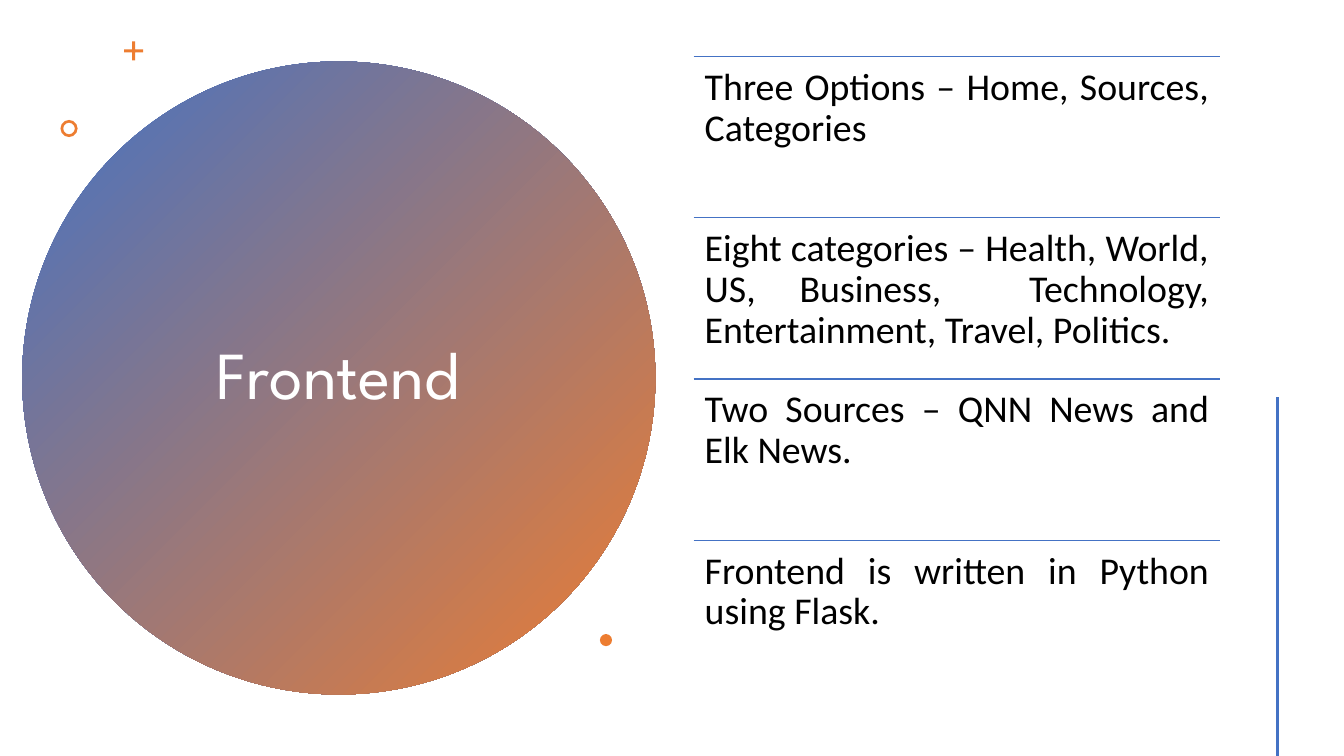
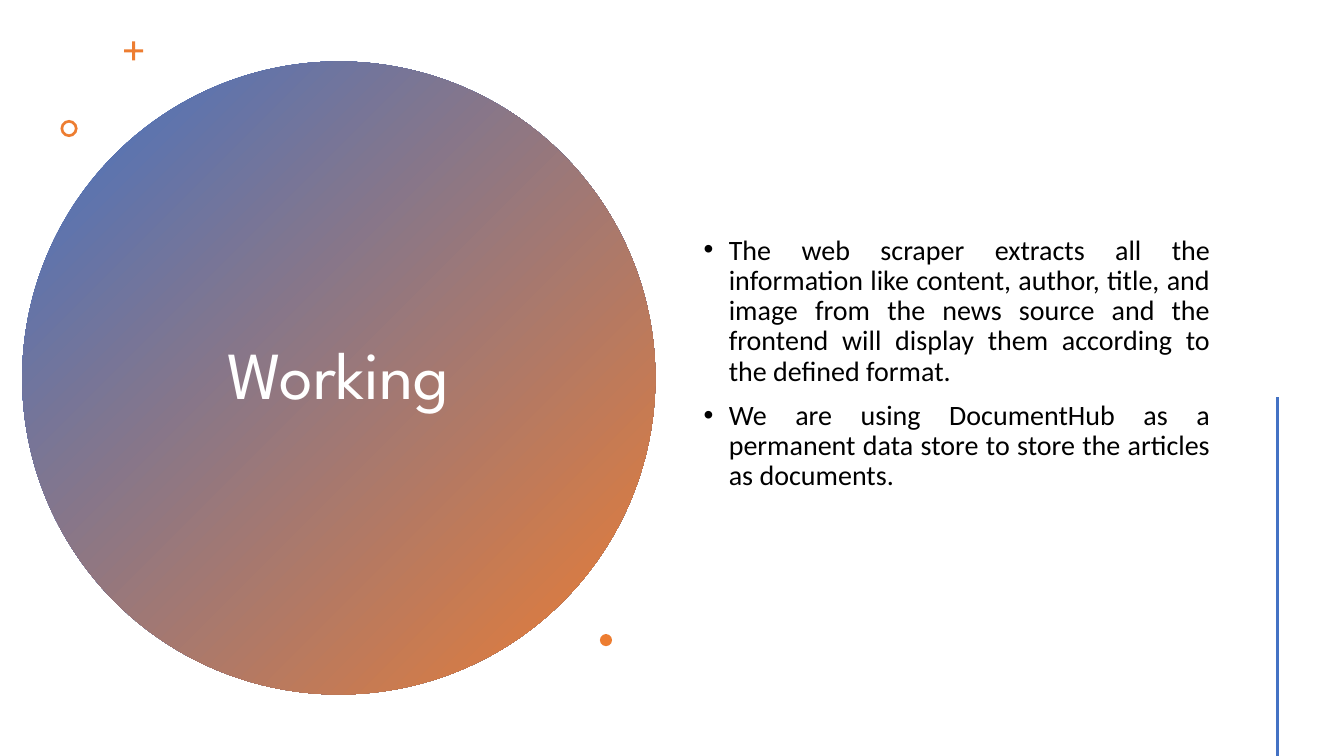
"""Build two slides that pair a gradient title circle with text on the right."""
from dataclasses import dataclass

import lxml.etree
import pptx
import pptx.dml.color
import pptx.enum.shapes
import pptx.enum.text
import pptx.oxml.ns
import pptx.util

Inches = pptx.util.Inches
Pt = pptx.util.Pt
RGBColor = pptx.dml.color.RGBColor
Preset = pptx.enum.shapes.MSO_SHAPE
Align = pptx.enum.text.PP_ALIGN
Anchor = pptx.enum.text.MSO_ANCHOR
qn = pptx.oxml.ns.qn

BLUE = RGBColor(0x44, 0x72, 0xC4)
ORANGE = RGBColor(0xED, 0x7D, 0x31)
WHITE = RGBColor(0xFF, 0xFF, 0xFF)
BLACK = RGBColor(0, 0, 0)
TITLE_FONT = "League Spartan"
BODY_FONT = "Calibri"
LINE_SPACING = 0.9
TITLE_ONLY_LAYOUT = 5

CONTENT_LEFT, CONTENT_TOP, CONTENT_WIDTH = 6.88, 0.56, 5.22
ROW_HEIGHT = 1.6
ROW_INSET = 0.11
BULLETS_HEIGHT = 6.1
BULLET_INDENT = 0.25


@dataclass(frozen=True)
class Ornament:
    """A small orange accent near the circle."""
    preset: Preset
    left: float
    top: float
    size: float
    adjustment: float | None = None


ORNAMENTS = (
    Ornament(Preset.CROSS, 1.23, 0.41, 0.19, 0.42),
    Ornament(Preset.DONUT, 0.6, 1.19, 0.17, 0.16),
    Ornament(Preset.OVAL, 5.95, 6.29, 0.12),
)

FRONTEND_ROWS = (
    "Three Options – Home, Sources, Categories",
    "Eight categories – Health, World, US, Business,  Technology, "
    "Entertainment, Travel, Politics.",
    "Two Sources – QNN News and Elk News.",
    "Frontend is written in Python using Flask.",
)

WORKING_BULLETS = (
    "The web scraper extracts all the information like content, author, title, "
    "and image from the news source and the frontend will display them "
    "according to the defined format.",
    "We are using DocumentHub as a permanent data store to store the articles "
    "as documents.",
)


def add_shape(slide, preset: Preset, left: float, top: float, size: float):
    """Add a square-framed preset shape without outline or shadow."""
    shape = slide.shapes.add_shape(
        preset, Inches(left), Inches(top), Inches(size), Inches(size))
    shape.shadow.inherit = False
    shape.line.fill.background()
    return shape


def add_line(slide, start: tuple[float, float], end: tuple[float, float],
             width: float) -> None:
    """Add a straight blue line."""
    line = slide.shapes.add_connector(
        pptx.enum.shapes.MSO_CONNECTOR.STRAIGHT,
        *(Inches(value) for value in (*start, *end)))
    line.line.color.rgb = BLUE
    line.line.width = Pt(width)
    properties = line.element.find(qn("p:spPr"))
    lxml.etree.SubElement(properties, qn("a:effectLst"))


def format_paragraph(paragraph, font: str, size: float, color: RGBColor,
                     alignment: Align) -> None:
    """Set the spacing, alignment and font of a paragraph."""
    paragraph.alignment = alignment
    paragraph.line_spacing = LINE_SPACING
    paragraph.font.name = font
    paragraph.font.size = Pt(size)
    paragraph.font.color.rgb = color


def add_bullet(paragraph) -> None:
    """Give a paragraph a hanging bullet."""
    properties = paragraph._p.get_or_add_pPr()
    properties.set("marL", str(Inches(BULLET_INDENT)))
    properties.set("indent", str(-Inches(BULLET_INDENT)))
    bullet_font = lxml.etree.SubElement(properties, qn("a:buFont"))
    bullet_font.set("typeface", "Arial")
    lxml.etree.SubElement(properties, qn("a:buChar")).set("char", "•")


def add_content_box(slide, top: float, height: float):
    """Add a wrapping text box in the right column and return its frame."""
    box = slide.shapes.add_textbox(
        Inches(CONTENT_LEFT), Inches(top), Inches(CONTENT_WIDTH), Inches(height))
    box.text_frame.word_wrap = True
    return box.text_frame


def add_base_slide(presentation, title_text: str):
    """Add a slide with the title circle, ornaments and side line."""
    slide = presentation.slides.add_slide(
        presentation.slide_layouts[TITLE_ONLY_LAYOUT])
    title = slide.shapes.title
    title.left, title.top = Inches(1.36), Inches(1.41)
    title.width, title.height = Inches(3.99), Inches(4.67)
    frame = title.text_frame
    frame.text = title_text
    frame.word_wrap = True
    frame.auto_size = pptx.enum.text.MSO_AUTO_SIZE.NONE
    frame.vertical_anchor = Anchor.MIDDLE
    format_paragraph(frame.paragraphs[0], TITLE_FONT, 48, WHITE, Align.CENTER)

    circle = add_shape(slide, Preset.OVAL, 0.22, 0.61, 6.28)
    circle.fill.gradient()
    circle.fill.gradient_angle = 315
    for position, (stop, color) in enumerate(
            zip(circle.fill.gradient_stops, (BLUE, ORANGE))):
        stop.position = position
        stop.color.rgb = color
    title.element.addprevious(circle.element)

    for ornament in ORNAMENTS:
        shape = add_shape(slide, ornament.preset, ornament.left, ornament.top,
                          ornament.size)
        shape.fill.solid()
        shape.fill.fore_color.rgb = ORANGE
        if ornament.adjustment is not None:
            shape.adjustments[0] = ornament.adjustment
    add_line(slide, (12.67, 3.94), (12.67, 7.5), 2)
    return slide


def add_rows(slide, texts: tuple[str, ...]) -> None:
    """Add evenly spaced text rows, each under a thin line."""
    for index, text in enumerate(texts):
        top = CONTENT_TOP + index * ROW_HEIGHT
        add_line(slide, (CONTENT_LEFT, top),
                 (CONTENT_LEFT + CONTENT_WIDTH, top), 1)
        frame = add_content_box(slide, top, ROW_HEIGHT)
        frame.margin_left = frame.margin_right = Inches(ROW_INSET)
        frame.margin_top = frame.margin_bottom = Inches(ROW_INSET)
        frame.text = text
        format_paragraph(frame.paragraphs[0], BODY_FONT, 27, BLACK, Align.JUSTIFY)


def add_bullets(slide, texts: tuple[str, ...]) -> None:
    """Add a vertically centred bullet list."""
    frame = add_content_box(slide, CONTENT_TOP, BULLETS_HEIGHT)
    frame.vertical_anchor = Anchor.MIDDLE
    frame.text = "\n".join(texts)
    for paragraph in frame.paragraphs:
        add_bullet(paragraph)
        paragraph.space_before = Pt(10)
        format_paragraph(paragraph, BODY_FONT, 20, BLACK, Align.JUSTIFY)


def main() -> None:
    """Build and save the presentation."""
    presentation = pptx.Presentation()
    presentation.slide_width = Inches(13.33)
    presentation.slide_height = Inches(7.5)
    add_rows(add_base_slide(presentation, "Frontend"), FRONTEND_ROWS)
    add_bullets(add_base_slide(presentation, "Working"), WORKING_BULLETS)
    presentation.save("out.pptx")


if __name__ == "__main__":
    main()
